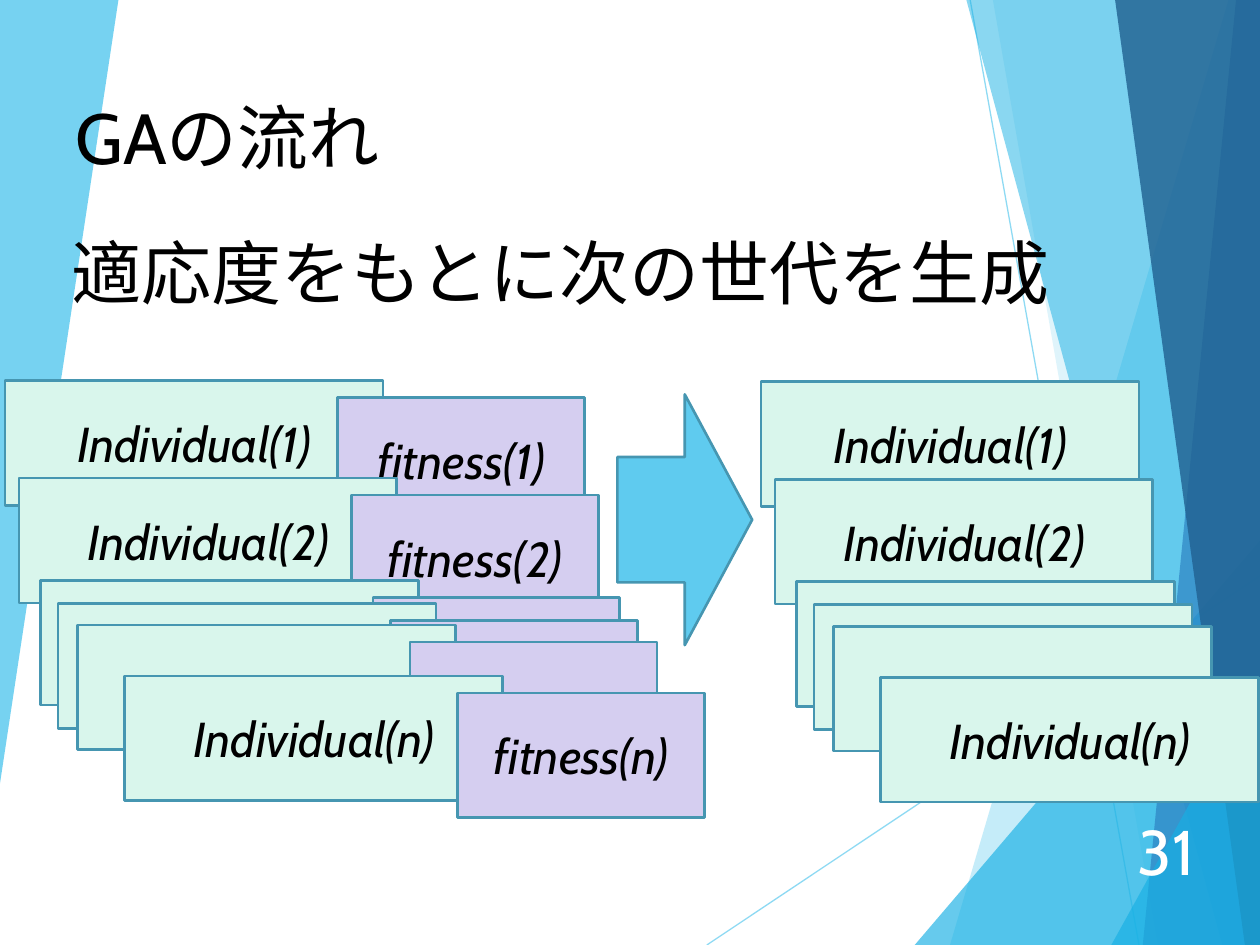
from dataclasses import dataclass

from pptx import Presentation
from pptx.dml.color import RGBColor
from pptx.enum.shapes import MSO_CONNECTOR, MSO_SHAPE
from pptx.enum.text import MSO_ANCHOR, PP_ALIGN
from pptx.oxml.ns import qn
from pptx.oxml.xmlchemy import OxmlElement
from pptx.util import Inches, Pt

COLS, ROWS = 100, 75


@dataclass(frozen=True)
class Theme:
    """Colours, font and type sizes of the slide."""
    font: str = "Cabin"
    text: str = "000000"
    number: str = "FFFFFF"
    sky: str = "5FCBEF"
    azure: str = "17B0E4"
    blue: str = "2E83C3"
    navy: str = "226292"
    edge: str = "4696B1"
    individual: str = "D9F6EC"
    fitness: str = "D5CEF0"
    title_pt: float = 40.5
    subtitle_pt: float = 40
    number_pt: float = 36
    card_pt: float = 28
    edge_pt: float = 1.5
    ray_pt: float = 0.75


@dataclass(frozen=True)
class Box:
    """A region in columns and rows of the slide grid."""
    x: float
    y: float
    w: float
    h: float

    def at(self, dx, dy, w, h):
        """Return a box placed relative to this one."""
        return Box(self.x + dx, self.y + dy, w, h)

    def emu(self):
        """Return left, top, width and height as lengths."""
        return [unit(v) for v in (self.x, self.y, self.w, self.h)]


T = Theme()


def unit(n):
    """Turn grid units into a length."""
    return Inches(n * 10 / COLS)


def rgb(color):
    """Return a colour object."""
    return RGBColor.from_string(color)


def set_alpha(sp, percent):
    """Make the colour of a shape or line partly transparent."""
    for clr in sp._element.spPr.iter(qn("a:srgbClr")):
        alpha = OxmlElement("a:alpha")
        alpha.set("val", str(percent * 1000))
        clr.append(alpha)


def write(tf, text, size, color=T.text, align=PP_ALIGN.LEFT, italic=False):
    """Write one run into a text frame."""
    tf.word_wrap = True
    p = tf.paragraphs[0]
    p.alignment = align
    r = p.add_run()
    r.text = text
    r.font.name = T.font
    r.font.size = Pt(size)
    r.font.italic = italic
    r.font.color.rgb = rgb(color)


def add_label(s, box, text, size, color=T.text, align=PP_ALIGN.LEFT, anchor=MSO_ANCHOR.TOP):
    """Place a line of text in a box."""
    tf = s.shapes.add_textbox(*box.emu()).text_frame
    tf.vertical_anchor = anchor
    write(tf, text, size, color, align)


def add_outlined(s, box, kind, fill):
    """Place a filled preset shape with the common edge."""
    sp = s.shapes.add_shape(kind, *box.emu())
    sp.shadow.inherit = False
    sp.fill.solid()
    sp.fill.fore_color.rgb = rgb(fill)
    sp.line.color.rgb = rgb(T.edge)
    sp.line.width = Pt(T.edge_pt)
    return sp


def add_card(s, box, fill, text):
    """Place a card, with a centred label if it has one."""
    sp = add_outlined(s, box, MSO_SHAPE.RECTANGLE, fill)
    if text:
        sp.text_frame.vertical_anchor = MSO_ANCHOR.MIDDLE
        write(sp.text_frame, text, T.card_pt, align=PP_ALIGN.CENTER, italic=True)


def add_ray(s, box, start, end):
    """Draw a thin line between two points of a box."""
    ends = [unit(v) for x, y in (start, end) for v in (box.x + x, box.y + y)]
    cx = s.shapes.add_connector(MSO_CONNECTOR.STRAIGHT, *ends)
    cx.line.color.rgb = rgb(T.sky)
    cx.line.width = Pt(T.ray_pt)
    set_alpha(cx, 70)
    cx._element.spPr.append(OxmlElement("a:effectLst"))


def add_facet(s, box, points, color, alpha):
    """Draw a translucent polygon inside a box."""
    pts = [(unit(box.x + x), unit(box.y + y)) for x, y in points]
    fb = s.shapes.build_freeform(*pts[0], scale=1.0)
    fb.add_line_segments(pts[1:], close=True)
    sp = fb.convert_to_shape()
    sp.shadow.inherit = False
    sp.fill.solid()
    sp.fill.fore_color.rgb = rgb(color)
    sp.line.fill.background()
    set_alpha(sp, alpha)


def add_backdrop(s, box):
    """Draw the rays and facets along both sides."""
    r, b = box.w, box.h
    add_ray(s, box, (56.1, b), (r, 45.7))
    add_ray(s, box, (77, 0), (90.4, b))
    facets = [
        ([(97.5, 0), (75.4, b), (r, b), (r, 0)], T.sky, 36),
        ([(78.8, 0), (91.9, b), (r, b), (r, 0)], T.sky, 20),
        ([(72.6, b), (r, 42.9), (r, b)], T.azure, 66),
        ([(76.7, 0), (97, b), (r, b), (r, 0)], T.azure, 50),
        ([(98.1, 0), (90.7, b), (r, b), (r, 0)], T.blue, 70),
        ([(88.5, 0), (98.8, b), (r, b), (r, 0)], T.navy, 82),
        ([(88.2, b), (r, 53.7), (r, b)], T.azure, 66),
        ([(0, 0), (9.4, 0), (0, 62.2)], T.sky, 85),
    ]
    for facet in facets:
        add_facet(s, box, *facet)


def add_heading(s, box):
    """Place the two title lines."""
    add_label(s, box.at(0.3, 0, 38.1, 7.8), "GAの流れ", T.title_pt)
    add_label(s, box.at(0, 10.8, box.w, 7.7), "適応度をもとに次の世代を生成", T.subtitle_pt)


def add_generation(s, box, scored=False):
    """Stack the individuals of a generation, with fitness cards if scored."""
    steps = [(0, 0, "1"), (1.1, 7.75, "2"), (2.8, 15.85, ""),
             (4.2, 17.7, ""), (5.75, 19.4, ""), (9.5, 23.45, "n")]
    for dx, dy, key in steps:
        add_card(s, box.at(dx, dy, 30, 9.9), T.individual, key and f"Individual({key})")
        if scored:
            add_card(s, box.at(dx + 26.4, dy + 1.35, 19.6, 9.9), T.fitness,
                     key and f"fitness({key})")


def build():
    """Build the slide and save it."""
    prs = Presentation()
    prs.slide_width, prs.slide_height = unit(COLS), unit(ROWS)
    s = prs.slides.add_slide(prs.slide_layouts[6])
    add_backdrop(s, Box(0, 0, COLS, ROWS))
    add_label(s, Box(87.4, 64.8, 8.4, 5.3), "31", T.number_pt, T.number,
              PP_ALIGN.RIGHT, MSO_ANCHOR.MIDDLE)
    add_heading(s, Box(4.7, 6.9, 82.7, 18.5))
    add_outlined(s, Box(49, 31.3, 10.7, 19.9), MSO_SHAPE.RIGHT_ARROW, T.sky)
    add_generation(s, Box(0.4, 30.2, 55.5, 34.7), scored=True)
    add_generation(s, Box(60.4, 30.3, 39.5, 33.35))
    prs.save("out.pptx")


if __name__ == "__main__":
    build()
